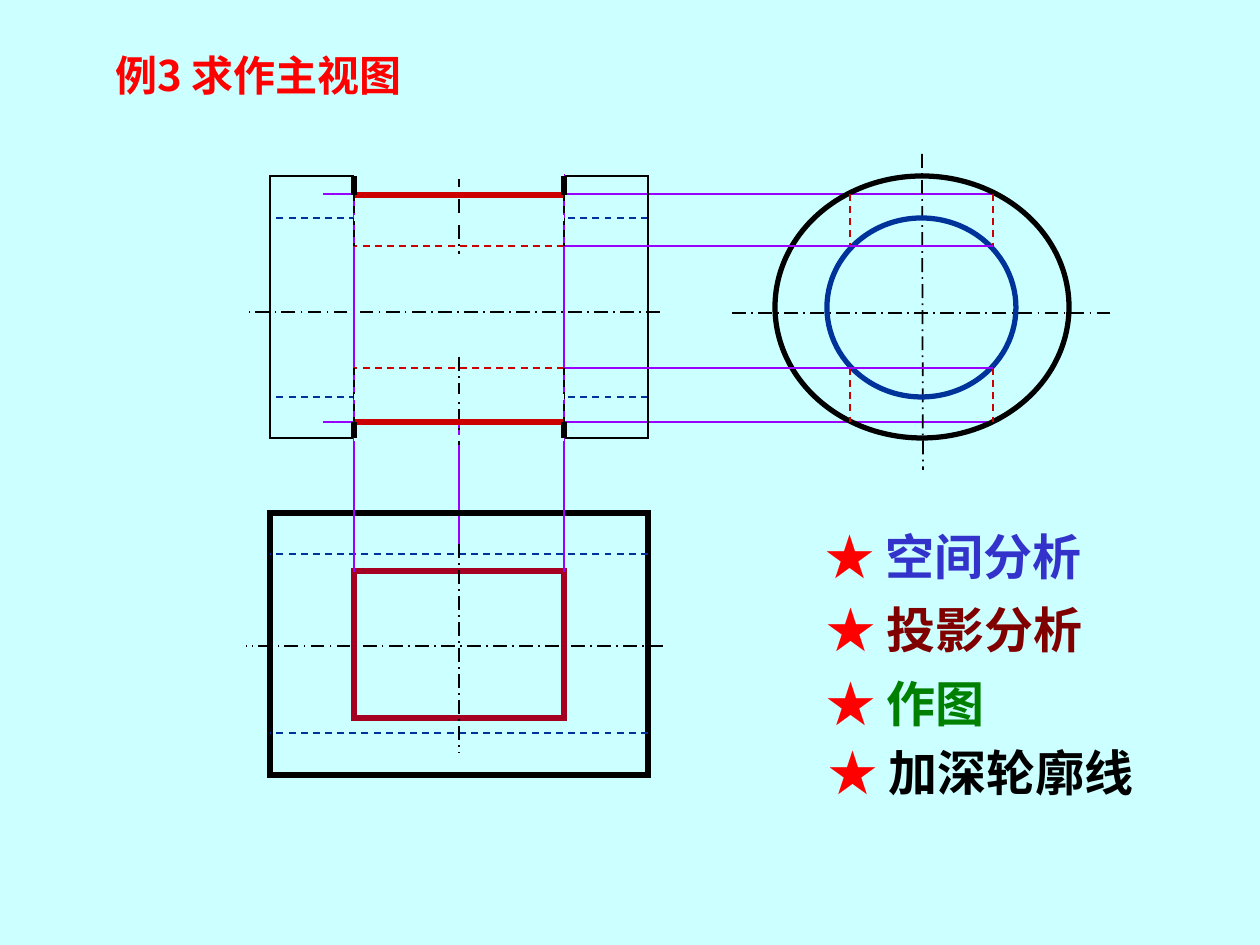
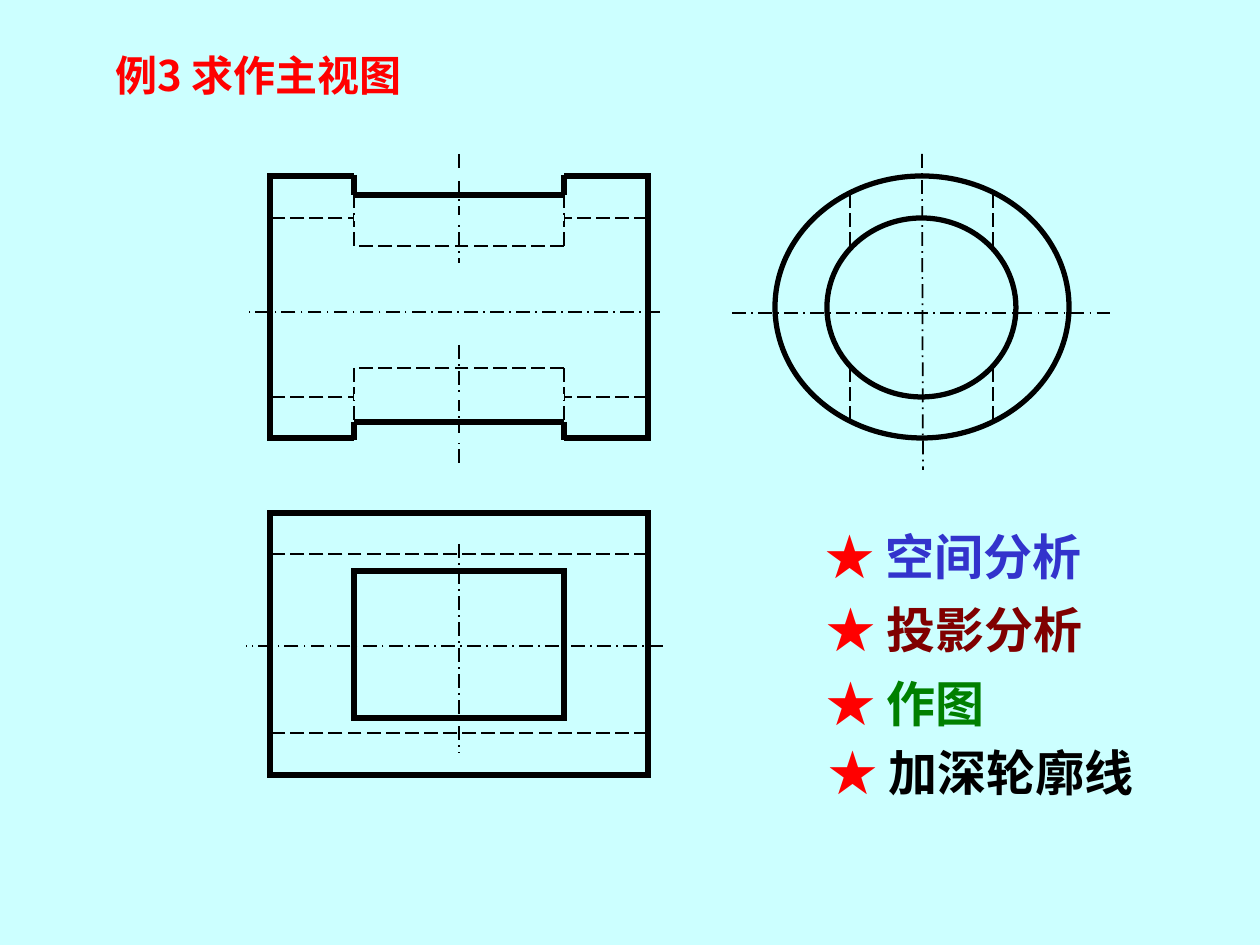
import pptx
import pptx.util
import pptx.dml.color
import pptx.enum.dml
import pptx.enum.shapes
import pptx.enum.text
import pptx.oxml.ns
import lxml.etree
from collections import namedtuple

PX = 914400 / 126
COLORS = {
    "paper": "CCFFFF", "black": "000000", "projector": "9900FF",
    "bore": "003399", "opening": "A50021", "cut": "CC0000",
    "red": "FF0000", "space": "3333CC", "projection": "800000", "drawing": "008000",
}
DASHES = pptx.enum.dml.MSO_LINE
SHAPES = pptx.enum.shapes.MSO_SHAPE
CJK_FONT = "Noto Sans CJK SC"
LATIN_FONT = "Times New Roman"

Box = namedtuple("Box", "left top width height")
FRONT = Box(270, 176, 378, 262)
TOP = Box(270, 513, 378, 262)
SIDE = Box(775, 176, 294, 262)
TITLE = Box(103, 43, 430, 63)

# Measures shared by the views, relative to each view
SLOT_LEFT, SLOT_RIGHT, MIDDLE = 84, 294, 189
BORE_ROWS = (42, 221)
CUT_ROWS = (19, 246)
INNER_ROWS = (70, 192)
HIDDEN_SPANS = ((18, 70), (192, 246))

STEPS = [
    (813, 520, 368, "空间分析", "space"),
    (814, 593, 380, "投影分析", "projection"),
    (814, 667, 260, "作图", "drawing"),
    (816, 736, 400, "加深轮廓线", "black"),
]

WORKING = {
    "front": 1, "bore": "bore", "opening": "opening", "cut": "cut",
    "hidden_dash": DASHES.DASH, "mask": 3, "overshoot": 0,
    "axis_spans": ((-3, 78), (181, 269)),
}
FINISHED = {
    "front": 3, "bore": "black", "opening": "black", "cut": "black",
    "hidden_dash": DASHES.LONG_DASH, "mask": 6, "overshoot": 2,
    "axis_spans": ((-22, 87), (169, 289)),
}


def px(value):
    return pptx.util.Emu(round(value * PX))


def rgb(name):
    return pptx.dml.color.RGBColor.from_string(COLORS[name])


def set_line(line, color, width, dash=None):
    line.color.rgb = rgb(color)
    line.width = pptx.util.Pt(width)
    if dash is not None:
        line.dash_style = dash


def add_line(page, box, start, end, color="black", width=1, dash=None):
    connector = page.shapes.add_connector(
        pptx.enum.shapes.MSO_CONNECTOR.STRAIGHT,
        px(box.left + start[0]), px(box.top + start[1]),
        px(box.left + end[0]), px(box.top + end[1]))
    set_line(connector.line, color, width, dash)
    lxml.etree.SubElement(connector.element.spPr, pptx.oxml.ns.qn("a:effectLst"))


def add_axis(page, box, start, end):
    add_line(page, box, start, end, dash=DASHES.LONG_DASH_DOT)


def add_outline(page, box, kind, part, color="black", width=3):
    left, top, across, down = part
    shape = page.shapes.add_shape(
        kind, px(box.left + left), px(box.top + top), px(across), px(down))
    shape.shadow.inherit = False
    shape.fill.background()
    set_line(shape.line, color, width)
    if kind == SHAPES.RECTANGLE:
        outline = shape.element.spPr.find(pptx.oxml.ns.qn("a:ln"))
        lxml.etree.SubElement(outline, pptx.oxml.ns.qn("a:miter"), lim="800000")


def add_text(page, box, spans, size, font):
    text_box = page.shapes.add_textbox(*(px(value) for value in box))
    frame = text_box.text_frame
    frame.word_wrap = True
    frame.auto_size = pptx.enum.text.MSO_AUTO_SIZE.SHAPE_TO_FIT_TEXT
    para = frame.paragraphs[0]
    for text, color in spans:
        span = para.add_run()
        span.text = text
        span.font.size = pptx.util.Pt(size)
        span.font.bold = True
        span.font.name = font
        span.font.color.rgb = rgb(color)
        lxml.etree.SubElement(
            span.font._element, pptx.oxml.ns.qn("a:ea"), typeface=CJK_FONT)


def draw_bore(page, box, rows, style):
    for row in rows:
        add_line(page, box, (box.width, row), (0, row), style["bore"],
                 dash=style["hidden_dash"])


def draw_side_view(page, box, style):
    add_axis(page, box, (-43, 137), (335, 137))
    add_axis(page, box, (147, -22), (148, 294))
    add_outline(page, box, SHAPES.OVAL, (0, 0, box.width, box.height))
    add_outline(page, box, SHAPES.OVAL, (52, 42, 189, 179), style["bore"])
    # Hidden sides of the opening
    for column in (75, 218):
        for start, end in HIDDEN_SPANS:
            add_line(page, box, (column, start), (column, end), style["cut"],
                     dash=style["hidden_dash"])


def draw_top_view(page, box, style):
    add_axis(page, box, (393, 133), (-24, 133))
    add_outline(page, box, SHAPES.RECTANGLE, (0, 0, box.width, box.height))
    add_outline(page, box, SHAPES.RECTANGLE,
                (SLOT_LEFT, 58, SLOT_RIGHT - SLOT_LEFT, 147), style["opening"])
    draw_bore(page, box, (41, 220), style)
    add_axis(page, box, (MIDDLE, 31), (MIDDLE, 240))


def draw_front_body(page, box, style):
    draw_bore(page, box, BORE_ROWS, style)
    add_outline(page, box, SHAPES.RECTANGLE, (0, 0, box.width, box.height),
                width=style["front"])
    add_axis(page, box, (390, 136), (-21, 136))
    for start, end in style["axis_spans"]:
        add_axis(page, box, (MIDDLE, start), (MIDDLE, end))


def draw_front_slot(page, box, style):
    def across(row, color, width, dash=None):
        add_line(page, box, (SLOT_RIGHT, row), (SLOT_LEFT, row), color, width, dash)

    # Visible cut, with the body outline cleared above and below it
    for row in CUT_ROWS:
        across(row, style["cut"], 3)
    for row in (0, box.height):
        across(row, "paper", style["mask"])
    over = style["overshoot"]
    steps = ((0 - over / 2, CUT_ROWS[0]), (CUT_ROWS[1], box.height + over))
    for column in (SLOT_RIGHT, SLOT_LEFT):
        for start, end in steps:
            add_line(page, box, (column, start), (column, end), width=3)
    # Hidden edges, with the bore cleared between them
    for row in INNER_ROWS:
        across(row, style["cut"], 1, style["hidden_dash"])
    for column in (SLOT_RIGHT, SLOT_LEFT):
        for start, end in HIDDEN_SPANS:
            add_line(page, box, (column, start), (column, end),
                     dash=style["hidden_dash"])
    for row in BORE_ROWS:
        across(row, "paper", 3)


def draw_outer_projectors(page, box):
    add_line(page, box, (MIDDLE, 378), (MIDDLE, 246), "projector")
    for row in (18, 246):
        add_line(page, box, (723, row), (53, row), "projector")


def draw_slot_projectors(page, box):
    for column, end in ((SLOT_RIGHT, -2), (SLOT_LEFT, 5)):
        add_line(page, box, (column, 396), (column, end), "projector")
    for row in INNER_ROWS:
        add_line(page, box, (723, row), (SLOT_RIGHT, row), "projector")


def draw_text(page):
    add_text(page, TITLE, [("例3 求作主视图", "red")], 24, CJK_FONT)
    for left, top, width, text, color in STEPS:
        add_text(page, Box(left, top, width, 72),
                 [("★ ", "red"), (text, color)], 28, LATIN_FONT)


def build_page(deck, style, projectors):
    page = deck.slides.add_slide(deck.slide_layouts[6])
    page.background.fill.solid()
    page.background.fill.fore_color.rgb = rgb("paper")
    if projectors:
        draw_outer_projectors(page, FRONT)
    draw_side_view(page, SIDE, style)
    draw_top_view(page, TOP, style)
    draw_front_body(page, FRONT, style)
    if projectors:
        draw_slot_projectors(page, FRONT)
    draw_front_slot(page, FRONT, style)
    draw_text(page)


def main():
    deck = pptx.Presentation()
    deck.slide_width, deck.slide_height = px(1260), px(945)
    build_page(deck, WORKING, projectors=True)
    build_page(deck, FINISHED, projectors=False)
    deck.save("out.pptx")


if __name__ == "__main__":
    main()
